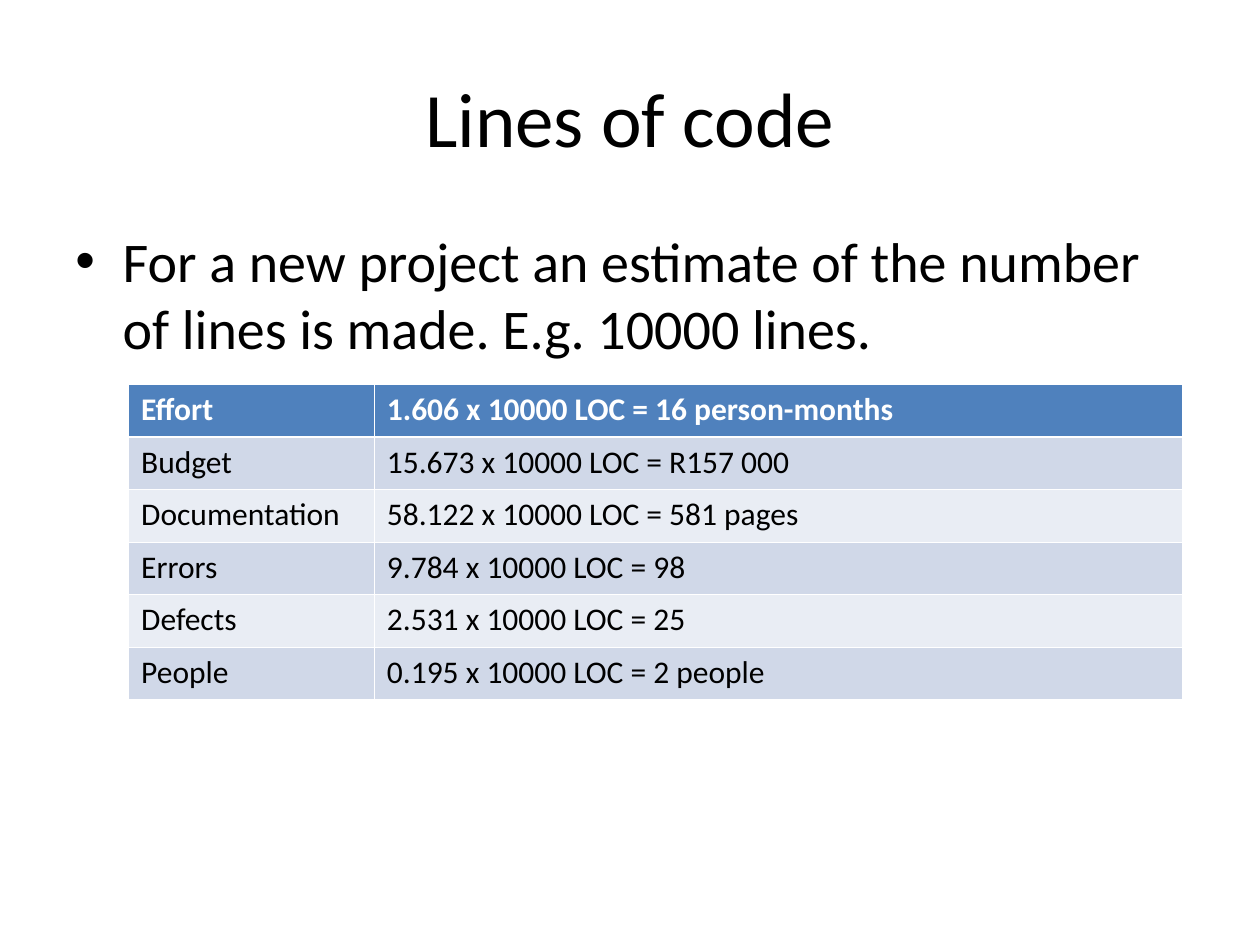
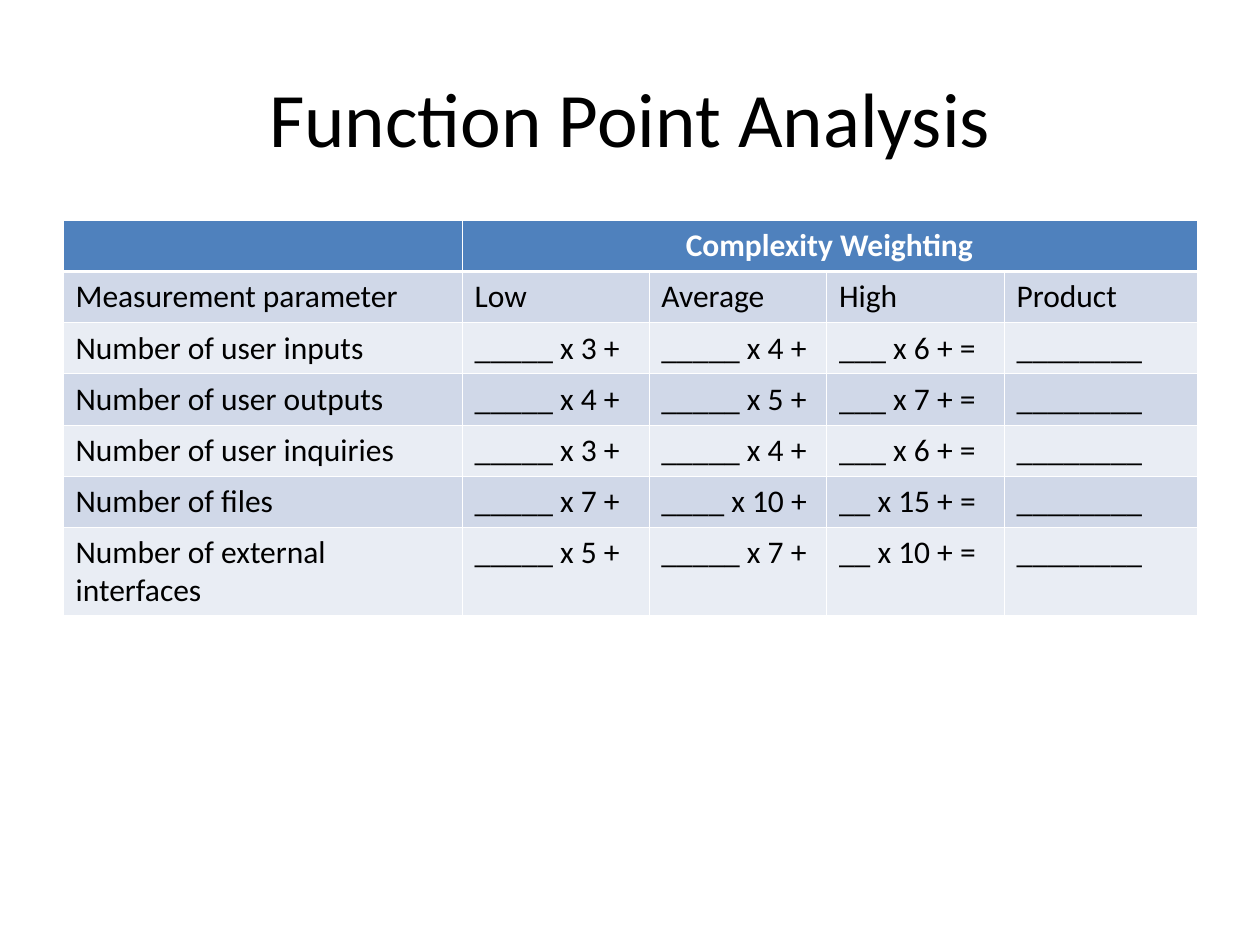
from collections import namedtuple
from lxml.etree import SubElement as Sub
from pptx import Presentation
from pptx.dml.color import RGBColor as Rgb
from pptx.enum.text import MSO_ANCHOR as Anchor, PP_ALIGN as Align
from pptx.oxml.ns import qn
from pptx.util import Pt

# Theme: colours, type sizes and rule widths
Theme = namedtuple("Theme", "font ink white head odd even title body cell thin thick")
theme = Theme(
    font="Calibri", ink=Rgb(0, 0, 0), white=Rgb(255, 255, 255),
    head=Rgb(0x4F, 0x81, 0xBD), odd=Rgb(0xD0, 0xD8, 0xE8), even=Rgb(0xE9, 0xED, 0xF4),
    title=44, body=32, cell=18, thin=0.45, thick=1.47,
)


def write(para, text, size, ink=theme.ink, bold=False):
    run = para.add_run()
    run.text = text
    font = run.font
    font.name, font.size, font.bold = theme.font, Pt(size), bold
    font.color.rgb = ink


def grid(slide, left, top, cols, rows, data):
    frame = slide.shapes.add_table(
        len(rows), len(cols), Pt(left), Pt(top), Pt(sum(cols)), Pt(sum(rows)))
    table = frame.table
    for col, width in zip(table.columns, cols):
        col.width = Pt(width)
    for row, height in zip(table.rows, rows):
        row.height = Pt(height)
    for r, line in enumerate(data):
        for c, text in enumerate(line):
            cell = table.cell(r, c)
            # White rules, with a heavier one under the header
            props = cell._tc.get_or_add_tcPr()
            for side in "LRTB":
                heavy = (r, side) in ((0, "B"), (1, "T"))
                width = Pt(theme.thick if heavy else theme.thin)
                rule = Sub(props, qn("a:ln" + side), w=str(int(width)))
                fill = Sub(rule, qn("a:solidFill"))
                Sub(fill, qn("a:srgbClr"), val=str(theme.white))
            # Header fill, then alternating bands
            band = theme.odd if r % 2 else theme.even
            cell.fill.solid()
            cell.fill.fore_color.rgb = band if r else theme.head
            if text:
                ink = theme.ink if r else theme.white
                write(cell.text_frame.paragraphs[0], text, theme.cell, ink, r == 0)
    return table


deck = Presentation()
deck.slide_width, deck.slide_height = Pt(720), Pt(540)

# Slides with their shared title style
pages = []
for title in ("Lines of code", "Function Point Analysis"):
    page = deck.slides.add_slide(deck.slide_layouts[6])
    frame = page.shapes.add_textbox(Pt(36), Pt(21.6), Pt(648), Pt(90)).text_frame
    frame.word_wrap = True
    frame.vertical_anchor = Anchor.MIDDLE
    para = frame.paragraphs[0]
    para.alignment = Align.CENTER
    write(para, title, theme.title)
    pages.append(page)
lines, points = pages

# Lines of code: bullet
frame = lines.shapes.add_textbox(Pt(36), Pt(126), Pt(648), Pt(356.4)).text_frame
frame.word_wrap = True
para = frame.paragraphs[0]
props = para._p.get_or_add_pPr()
props.set("marL", str(int(Pt(27))))
props.set("indent", str(int(Pt(-27))))
Sub(props, qn("a:buFont"), typeface="Arial")
Sub(props, qn("a:buChar"), char="•")
write(para, "For a new project an estimate of the number of lines is made. "
      "E.g. 10000 lines.", theme.body)

# Lines of code: estimates
grid(lines, 73.5, 219.8, [140.4, 461.5], [30] * 6, [
    ("Effort", "1.606 x 10000 LOC = 16 person-months"),
    ("Budget", "15.673 x 10000 LOC = R157 000"),
    ("Documentation", "58.122 x 10000 LOC = 581 pages"),
    ("Errors", "9.784 x 10000 LOC = 98"),
    ("Defects", "2.531 x 10000 LOC = 25"),
    ("People", "0.195 x 10000 LOC = 2 people"),
])

# Function points: weighting form
total = "_" * 8
table = grid(points, 36, 126, [228, 106.8, 101.5, 101.5, 110.2], [29.2] * 6 + [50.4], [
    ("", "Complexity Weighting", "", "", ""),
    ("Measurement parameter", "Low", "Average", "High", "Product"),
    ("Number of user inputs", "_____ x 3 +", "_____ x 4 +", "___ x 6 + =", total),
    ("Number of user outputs", "_____ x 4 +", "_____ x 5 +", "___ x 7 + =", total),
    ("Number of user inquiries", "_____ x 3 +", "_____ x 4 +", "___ x 6 + =", total),
    ("Number of files", "_____ x 7 +", "____ x 10 +", "__ x 15 + =", total),
    ("Number of external interfaces", "_____ x 5 +", "_____ x 7 +", "__ x 10 + =", total),
])
head = table.cell(0, 1)
head.merge(table.cell(0, 4))
head.text_frame.paragraphs[0].alignment = Align.CENTER

deck.save("out.pptx")
